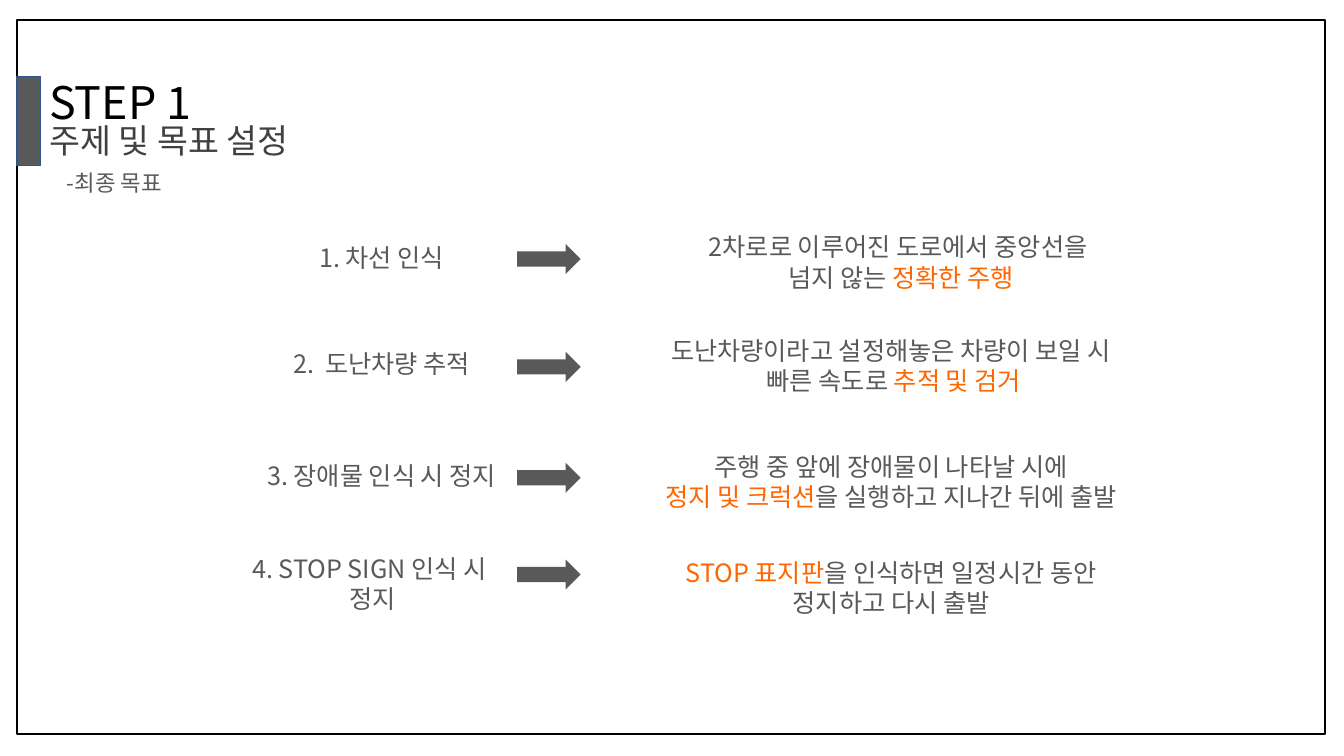
"""Build the STEP 1 slide: four driving abilities and the final goal of each."""
from dataclasses import dataclass

from lxml import etree
from pptx import Presentation
from pptx import util as u
from pptx.dml.color import RGBColor
from pptx.enum import shapes, text
from pptx.oxml import ns


@dataclass(frozen=True)
class Theme:
    """Font, colours and type sizes."""
    font: str = "Noto Sans CJK KR"
    white: str = "FFFFFF"
    black: str = "000000"
    title: str = "404040"
    gray: str = "595959"
    accent: str = "FF6600"
    edge: str = "325491"
    step_size: int = 32
    title_size: int = 24
    note_size: int = 16
    body_size: int = 18


THEME = Theme()
PX = 9144
SLIDE = (1333, 750)
FRAME = (17, 20, 1297, 708)
TAB = (17, 76, 23, 88)
ARROW_LEFT, ARROW_WIDTH, ARROW_HEIGHT = 513, 63, 30
LABEL_WIDTH, GOAL_WIDTH = 291, 525
LINE_HEIGHT, PADDING = 30, 10

HEADINGS = [
    ((39, 69, 194, 64), "STEP 1", THEME.step_size, THEME.black, False),
    ((39, 114, 291, 50), "주제 및 목표 설정", THEME.title_size, THEME.title, False),
    ((-32, 163, 291, 37), "-최종 목표", THEME.note_size, THEME.gray, True),
]

# label position, label lines, arrow top, goal position, goal lines (* marks accent)
ROWS = [
    ((233, 235), ["1. 차선 인식"], 242, (631, 225),
     ["2차로로 이루어진 도로에서 중앙선을 ", "넘지 않는 *정확한 주행"]),
    ((233, 341), ["2.  도난차량 추적"], 349, (624, 328),
     ["도난차량이라고 설정해놓은 차량이 보일 시 ", "빠른 속도로 *추적 및 검거"]),
    ((233, 452), ["3. 장애물 인식 시 정지"], 459, (624, 443),
     ["주행 중 앞에 장애물이 나타날 시에 ", "*정지 및 크럭션*을 실행하고 지나간 뒤에 출발 "]),
    ((221, 544), ["4. STOP SIGN 인식 시", " 정지"], 555, (624, 548),
     ["*STOP 표지판*을 인식하면 일정시간 동안 ", "정지하고 다시 출발 "]),
]


def scaled(area):
    return [u.Emu(length * PX) for length in area]


def add_block(page, kind, area, fill, line=None, width=1):
    block = page.shapes.add_shape(kind, *scaled(area))
    block.shadow.inherit = False
    block.fill.solid()
    block.fill.fore_color.rgb = RGBColor.from_string(fill)
    if line:
        block.line.color.rgb = RGBColor.from_string(line)
        block.line.width = u.Pt(width)
    else:
        block.line.fill.background()


def add_text(page, area, lines, size, color, centered=True):
    box = page.shapes.add_textbox(*scaled(area))
    frame = box.text_frame
    frame.word_wrap = True
    for index, line in enumerate(lines):
        para = frame.add_paragraph() if index else frame.paragraphs[0]
        para.alignment = text.PP_ALIGN.CENTER if centered else text.PP_ALIGN.LEFT
        para.font.size = u.Pt(size)
        para.font.color.rgb = RGBColor.from_string(color)
        para.font.name = THEME.font
        defaults = para._p.pPr.find(ns.qn("a:defRPr"))
        etree.SubElement(defaults, ns.qn("a:ea"), typeface=THEME.font)
        for part, words in enumerate(line.split("*")):
            if words:
                span = para.add_run()
                span.text = words
                if part % 2:
                    span.font.color.rgb = RGBColor.from_string(THEME.accent)


def main():
    deck = Presentation()
    deck.slide_width, deck.slide_height = scaled(SLIDE)
    page = deck.slides.add_slide(deck.slide_layouts[6])
    kinds = shapes.MSO_SHAPE
    add_block(page, kinds.RECTANGLE, FRAME, THEME.white, THEME.black, 1.75)
    add_block(page, kinds.RECTANGLE, TAB, THEME.gray, THEME.edge)
    for area, words, size, color, centered in HEADINGS:
        add_text(page, area, [words], size, color, centered)
    for label_at, label, arrow_top, goal_at, goal in ROWS:
        arrow = (ARROW_LEFT, arrow_top, ARROW_WIDTH, ARROW_HEIGHT)
        add_block(page, kinds.RIGHT_ARROW, arrow, THEME.gray)
        for at, lines, width in ((label_at, label, LABEL_WIDTH), (goal_at, goal, GOAL_WIDTH)):
            height = PADDING + LINE_HEIGHT * len(lines)
            add_text(page, (*at, width, height), lines, THEME.body_size, THEME.gray)
    deck.save("out.pptx")


if __name__ == "__main__":
    main()
